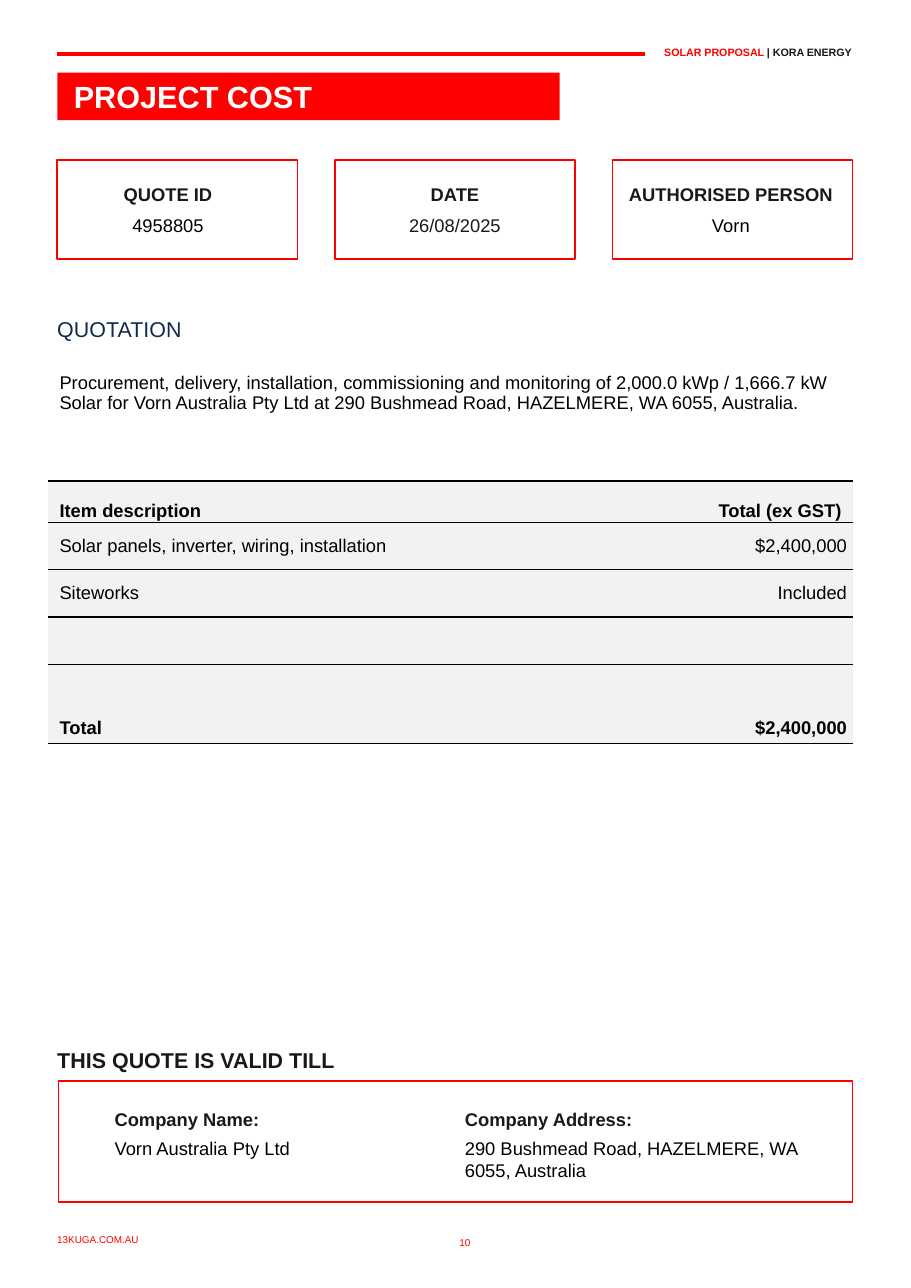
from dataclasses import dataclass

from lxml import etree
from pptx import Presentation
from pptx import util as u
from pptx.dml.color import RGBColor
from pptx.enum import shapes, text
from pptx.oxml import ns

PX = 9144  # 100 px to the inch
ALIGN = text.PP_ALIGN
ANCHOR = text.MSO_ANCHOR


@dataclass(frozen=True)
class Theme:
    font: str = "Arial"
    red: str = "FF0000"
    navy: str = "0F2B4B"
    ink: str = "191919"
    black: str = "000000"
    white: str = "FFFFFF"
    row: str = "F2F2F2"
    title: float = 20
    heading: float = 14
    body: float = 12
    header: float = 7
    footer: float = 6.5


THEME = Theme()


def px(*lengths):
    return [u.Emu(length * PX) for length in lengths]


def rgb(color):
    return RGBColor.from_string(color)


def write(frame, content, size=THEME.body, color=THEME.black, bold=False,
          align=ALIGN.LEFT, before=0, same_line=False):
    """Add a paragraph to the frame, or a run to its last paragraph."""
    paragraph = frame.paragraphs[-1]
    if paragraph.runs and not same_line:
        paragraph = frame.add_paragraph()
    paragraph.alignment = align
    paragraph.space_before = u.Pt(before)
    run = paragraph.add_run()
    run.text = content
    run.font.name = THEME.font
    run.font.size = u.Pt(size)
    run.font.bold = bold
    run.font.color.rgb = rgb(color)


def set_frame(frame, insets, anchor=ANCHOR.TOP):
    frame.word_wrap = True
    frame.auto_size = text.MSO_AUTO_SIZE.NONE
    frame.vertical_anchor = anchor
    (frame.margin_left, frame.margin_top,
     frame.margin_right, frame.margin_bottom) = px(*insets)
    return frame


def text_area(slide, box, top_inset=1):
    return set_frame(slide.shapes.add_textbox(*px(*box)).text_frame,
                     (0, top_inset, 0, 0))


def outlined_box(slide, box, width):
    shape = slide.shapes.add_shape(shapes.MSO_SHAPE.RECTANGLE, *px(*box))
    shape.shadow.inherit = False
    shape.fill.background()
    shape.line.color.rgb = rgb(THEME.red)
    shape.line.width = u.Pt(width)
    return shape


def page_header(slide, box):
    left, top, width, height = box
    line_y = top + 8
    line = slide.shapes.add_connector(
        shapes.MSO_CONNECTOR.STRAIGHT, *px(left, line_y, left + 534, line_y))
    line.line.color.rgb = rgb(THEME.red)
    line.line.width = u.Pt(2)
    etree.SubElement(line._element.spPr, ns.qn("a:effectLst"))
    frame = text_area(slide, (left + 551, top, width - 551, height))
    write(frame, "SOLAR PROPOSAL ", size=THEME.header, color=THEME.red, bold=True)
    write(frame, "| KORA ENERGY", size=THEME.header, color=THEME.ink, bold=True,
          same_line=True)


def title_band(slide, box):
    title = slide.shapes.title
    title.left, title.top, title.width, title.height = px(*box)
    title.fill.solid()
    title.fill.fore_color.rgb = rgb(THEME.red)
    frame = set_frame(title.text_frame, (15, 5, 0, 5))
    write(frame, "PROJECT COST", size=THEME.title, color=THEME.white, bold=True)


def quote_facts(slide, box):
    """Three equal outlined boxes; the first sets its text left of centre."""
    left, top, width, height = box
    facts = [("QUOTE ID", "4958805", THEME.black, 17),
             ("DATE", "26/08/2025", THEME.ink, 0),
             ("AUTHORISED PERSON", "Vorn", THEME.black, 3)]
    box_width = 218
    step = (width - box_width) // (len(facts) - 1)
    for index, (label, value, color, right_inset) in enumerate(facts):
        shape = outlined_box(
            slide, (left + index * step, top, box_width, height), 1.11)
        frame = set_frame(shape.text_frame, (0, 20, right_inset, 20), ANCHOR.MIDDLE)
        write(frame, label, color=THEME.ink, bold=True, align=ALIGN.CENTER)
        write(frame, value, color=color, align=ALIGN.CENTER, before=5.9)


def heading(slide, box, content, color, bold=False):
    write(text_area(slide, box), content, size=THEME.heading, color=color, bold=bold)


def set_borders(cell, top=0, bottom=0):
    """Draw the top and bottom edges in points; 0 means no line."""
    properties = cell._tc.get_or_add_tcPr()
    edges = [("lnL", 0), ("lnR", 0), ("lnT", top), ("lnB", bottom)]
    for position, (tag, width) in enumerate(edges):
        edge = etree.Element(ns.qn(f"a:{tag}"), w=str(u.Pt(width)))
        if width:
            fill = etree.SubElement(edge, ns.qn("a:solidFill"))
            etree.SubElement(fill, ns.qn("a:srgbClr"), val=THEME.black)
        else:
            etree.SubElement(edge, ns.qn("a:noFill"))
        properties.insert(position, edge)


def set_cell(cell, content, insets, anchor, **style):
    (cell.margin_left, cell.margin_top,
     cell.margin_right, cell.margin_bottom) = px(*insets)
    cell.vertical_anchor = anchor
    if content:
        write(cell.text_frame, content, **style)


def cost_table(slide, box):
    items = [("Item description", "Total (ex GST)"),
             ("Solar panels, inverter, wiring, installation", "$2,400,000"),
             ("Siteworks", "Included"),
             ("", ""),
             ("Total", "$2,400,000")]
    heights = [104, 37, 43, 43, 43, 72]
    table = slide.shapes.add_table(len(heights), 2, *px(*box)).table
    table.first_row = table.horz_banding = False
    for column, width in zip(table.columns, px(463, box[2] - 463)):
        column.width = width
    for row, height in zip(table.rows, px(*heights)):
        row.height = height

    scope = table.cell(0, 0)
    scope.merge(table.cell(0, 1))
    for cell in table.rows[0].cells:
        cell.fill.background()
        set_borders(cell, bottom=1.5)
    set_cell(scope, "Procurement, delivery, installation, commissioning and "
             "monitoring of 2,000.0 kWp / 1,666.7 kW Solar for Vorn Australia "
             "Pty Ltd at 290 Bushmead Road, HAZELMERE, WA 6055, Australia.",
             (10, 5, 10, 5), ANCHOR.TOP)

    for index, values in enumerate(items, start=1):
        is_header, is_total = index == 1, index == len(items)
        anchor = ANCHOR.BOTTOM if is_header or is_total else ANCHOR.MIDDLE
        for column, value in enumerate(values):
            cell = table.cell(index, column)
            cell.fill.solid()
            cell.fill.fore_color.rgb = rgb(THEME.row)
            set_borders(cell, top=1.5 if is_header else 1, bottom=1)
            vertical = 1 if is_header else 5
            side = 5 if column and not is_header else 10
            set_cell(cell, value, (side, vertical, side, vertical), anchor,
                     bold=is_header or is_total,
                     align=ALIGN.RIGHT if column else ALIGN.LEFT)


def company_details(slide, box):
    left, top, width, height = box
    outlined_box(slide, box, 1)
    details = [(51, 251, "Company Name:", "Vorn Australia Pty Ltd"),
               (369, 311, "Company Address:",
                "290 Bushmead Road, HAZELMERE, WA 6055, Australia")]
    for offset, detail_width, label, value in details:
        frame = text_area(
            slide, (left + offset, top + 18, detail_width, height - 38), top_inset=7)
        write(frame, label, color=THEME.ink, bold=True)
        write(frame, value, before=4.5)


def page_footer(slide, box):
    left, top, width, height = box
    for offset, drop, part_width, content in [(0, 0, 100, "13KUGA.COM.AU"),
                                              (365, 2, 22, "10")]:
        frame = text_area(
            slide, (left + offset, top + drop, part_width, height), top_inset=0)
        write(frame, content, size=THEME.footer, color=THEME.red)


def main():
    presentation = Presentation()
    presentation.slide_width, presentation.slide_height = px(827, 1169)
    slide = presentation.slides.add_slide(presentation.slide_layouts[5])
    page_header(slide, (52, 41, 732, 13))
    title_band(slide, (52, 66, 456, 43))
    quote_facts(slide, (52, 145, 722, 90))
    heading(slide, (52, 286, 187, 24), "QUOTATION", THEME.navy)
    cost_table(slide, (44, 333, 730, 342))
    heading(slide, (52, 949, 550, 24), "THIS QUOTE IS VALID TILL", THEME.ink, bold=True)
    company_details(slide, (53, 981, 721, 110))
    page_footer(slide, (52, 1120, 721, 11))
    presentation.save("out.pptx")


if __name__ == "__main__":
    main()
